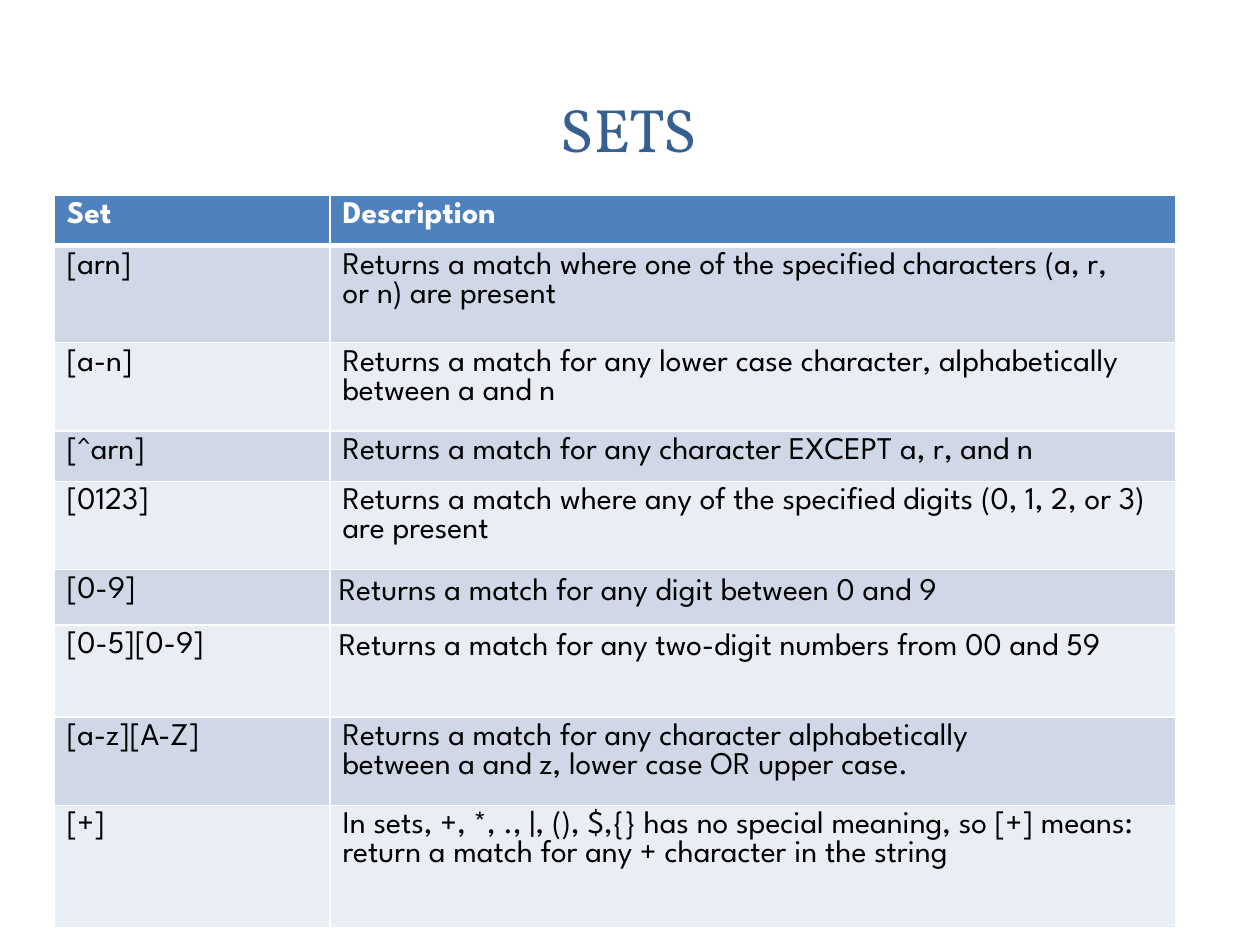
import pptx
import pptx.dml.color
import pptx.enum.shapes
import pptx.enum.text
import pptx.oxml
import pptx.oxml.ns
import pptx.util
from pptx.util import Inches

RGBColor = pptx.dml.color.RGBColor
SHAPE = pptx.enum.shapes.MSO_SHAPE
WHITE = RGBColor(0xFF, 0xFF, 0xFF)
BLACK = RGBColor(0x00, 0x00, 0x00)
TITLE_BLUE = RGBColor(0x37, 0x60, 0x92)
HEADER_BLUE = RGBColor(0x4F, 0x81, 0xBD)
BAND_DARK = RGBColor(0xD0, 0xD8, 0xE8)
BAND_LIGHT = RGBColor(0xE9, 0xED, 0xF4)

TITLE_FONT = "Vollkorn"
BODY_FONT = "League Spartan"

COLUMN_WIDTHS = [2.19, 6.71]
ROW_HEIGHTS = [0.4, 0.77, 0.67, 0.4, 0.68, 0.41, 0.73, 0.67, 0.97]
NO_BREAK_SPACE = chr(160)
# "~" stands for a non-breaking space.
ROWS = [
    ("Set", "Description"),
    ("[arn]", "Returns a match where one of the specified characters (a,~r, or~n) are present"),
    ("[a-n]", "Returns a match for any lower case character, alphabetically between~a~and~n"),
    ("[^arn]", "Returns a match for any character EXCEPT~a,~r, and~n"),
    ("[0123]", "Returns a match where any of the specified digits (0,~1,~2, or~3) are present"),
    ("[0-9]", "Returns a match for any digit between~0~and~9"),
    ("[0-5][0-9]", "Returns a match for any two-digit numbers from~00~and~59"),
    ("[a-z][A-Z]", "Returns a match for any character alphabetically between~a~and~z, "
                   "lower case OR upper case."),
    ("[+]", "In sets,~+,~*,~.,~|,~(),~$,{}~has no special meaning, so~[+]~means: "
            "return a match for any~+~character in the string"),
]
EVEN_MARGIN_ROWS = (5, 6)


def add_panel(s, kind, left, top, width, height):
    sp = s.shapes.add_shape(kind, Inches(left), Inches(top), Inches(width), Inches(height))
    sp.shadow.inherit = False
    sp.fill.solid()
    sp.fill.fore_color.rgb = WHITE
    sp.line.fill.background()
    return sp


def set_opacity(sp, percent):
    color = sp.fill._xPr.find(".//" + pptx.oxml.ns.qn("a:srgbClr"))
    color.append(pptx.oxml.parse_xml(
        f'<a:alpha {pptx.oxml.ns.nsdecls("a")} val="{percent * 1000}"/>'))


def add_background(s):
    card = add_panel(s, SHAPE.ROUNDED_RECTANGLE, 0.1, 0.11, 9.8, 7.29)
    card.adjustments[0] = 0.02
    set_opacity(add_panel(s, SHAPE.RECTANGLE, 0.3, 0.3, 9.4, 1.45), 83)
    add_panel(s, SHAPE.RECTANGLE, 0.41, 0.41, 9.17, 1.22)


def add_run(p, text, font, size, color, bold=False):
    r = p.add_run()
    r.text = text
    r.font.name = font
    r.font.size = pptx.util.Pt(size)
    r.font.color.rgb = color
    r.font.bold = bold


def add_title(s, text):
    tf = s.shapes.add_textbox(Inches(0.47), Inches(0.45), Inches(9.03), Inches(1.14)).text_frame
    tf.word_wrap = True
    tf.vertical_anchor = pptx.enum.text.MSO_ANCHOR.MIDDLE
    p = tf.paragraphs[0]
    p.alignment = pptx.enum.text.PP_ALIGN.CENTER
    add_run(p, text, TITLE_FONT, 35, TITLE_BLUE)


def set_borders(cell, color, top=1, bottom=1):
    """Draw all four cell borders; widths are in points and must precede the fill."""
    tc_pr = cell._tc.get_or_add_tcPr()
    for side, width in (("L", 1), ("R", 1), ("T", top), ("B", bottom)):
        tc_pr.append(pptx.oxml.parse_xml(
            f'<a:ln{side} {pptx.oxml.ns.nsdecls("a")} w="{pptx.util.Pt(width)}">'
            f'<a:solidFill><a:srgbClr val="{color}"/></a:solidFill></a:ln{side}>'))


def set_even_margins(cell, margin):
    cell.margin_left = cell.margin_right = margin
    cell.margin_top = cell.margin_bottom = margin


def fill_cell(cell, text, row):
    header = row == 0
    set_borders(cell, WHITE, top=3 if row == 1 else 1, bottom=3 if header else 1)
    cell.fill.solid()
    cell.fill.fore_color.rgb = HEADER_BLUE if header else BAND_DARK if row % 2 else BAND_LIGHT
    add_run(cell.text_frame.paragraphs[0], text.replace("~", NO_BREAK_SPACE), BODY_FONT, 18,
            WHITE if header else BLACK, bold=header)


def add_sets_table(s):
    table = s.shapes.add_table(len(ROWS), len(COLUMN_WIDTHS), Inches(0.43), Inches(1.55),
                               Inches(sum(COLUMN_WIDTHS)), Inches(sum(ROW_HEIGHTS))).table
    for column, width in zip(table.columns, COLUMN_WIDTHS):
        column.width = Inches(width)
    for i, (height, texts) in enumerate(zip(ROW_HEIGHTS, ROWS)):
        table.rows[i].height = Inches(height)
        for j, text in enumerate(texts):
            fill_cell(table.cell(i, j), text, i)
    for i in EVEN_MARGIN_ROWS:
        set_even_margins(table.cell(i, 1), Inches(0.07))


def main():
    prs = pptx.Presentation()
    prs.slide_width, prs.slide_height = Inches(10), Inches(7.5)
    s = prs.slides.add_slide(prs.slide_layouts[6])
    add_background(s)
    add_title(s, "SETS")
    add_sets_table(s)
    prs.save("out.pptx")


if __name__ == "__main__":
    main()
